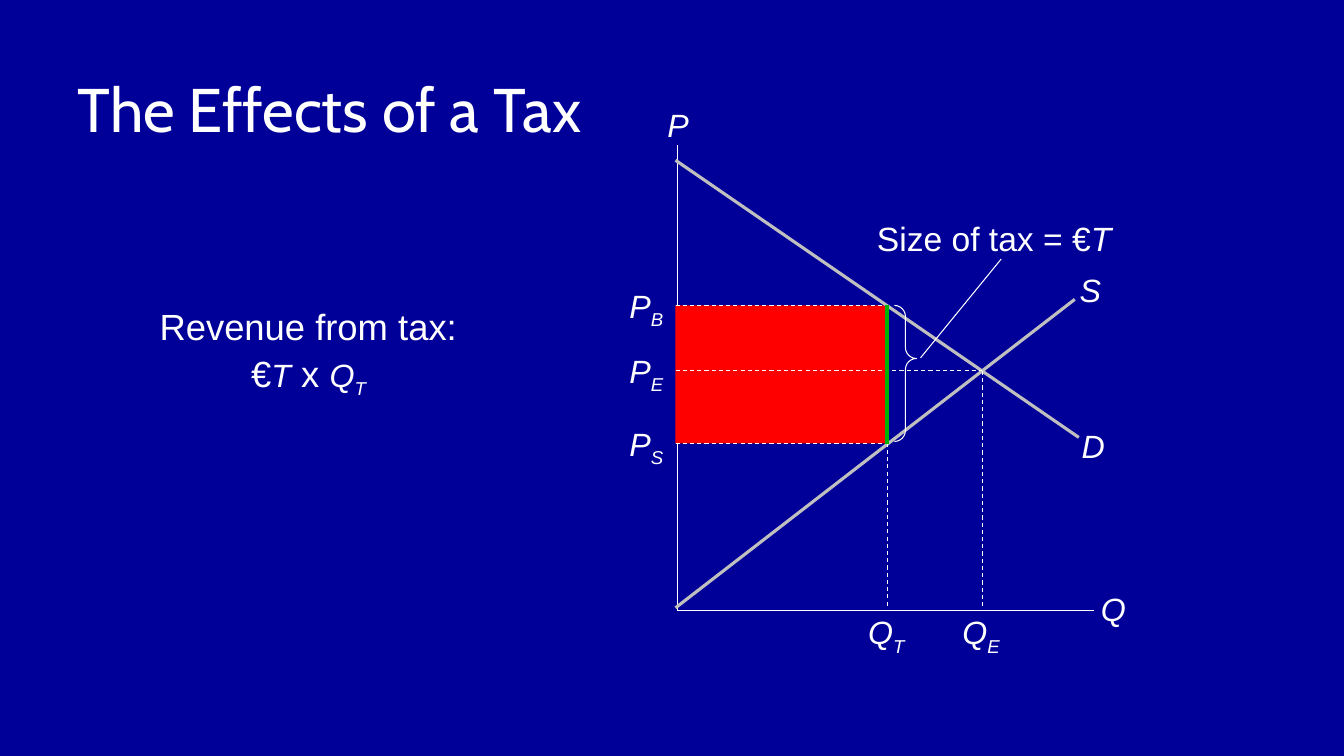
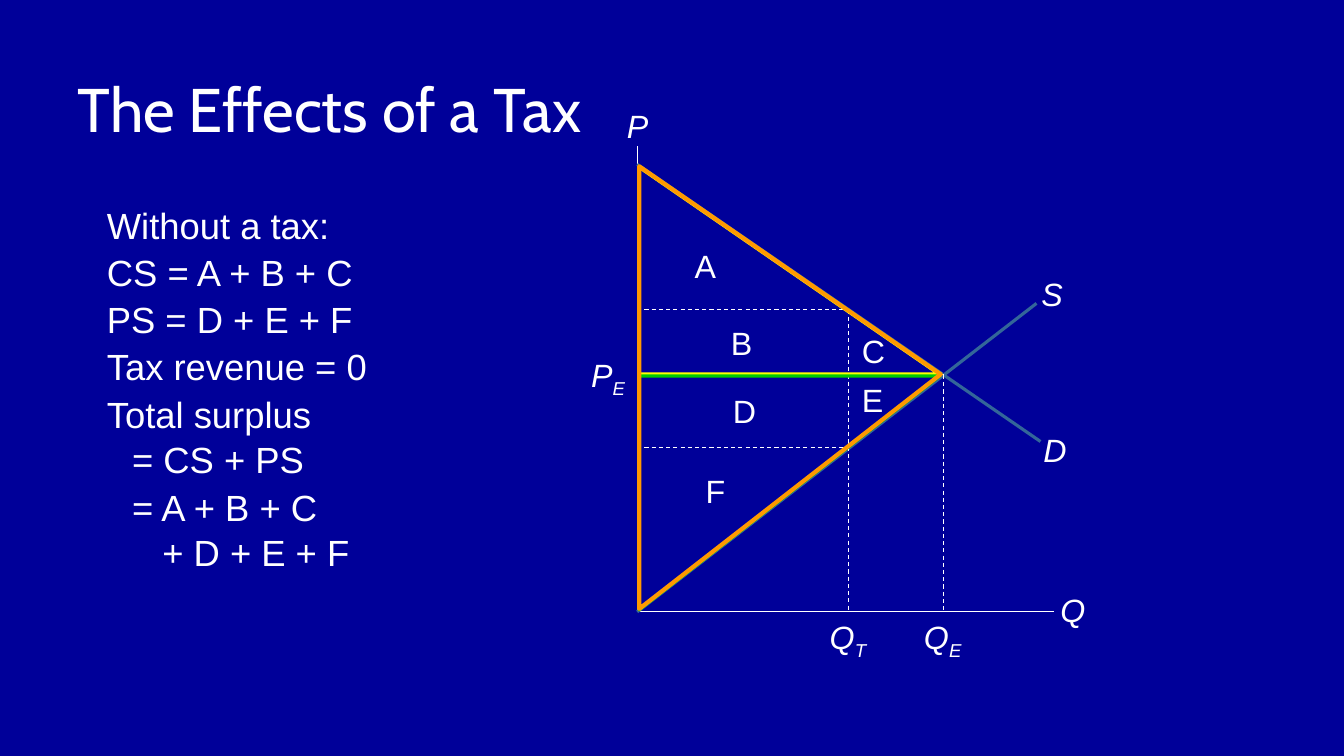
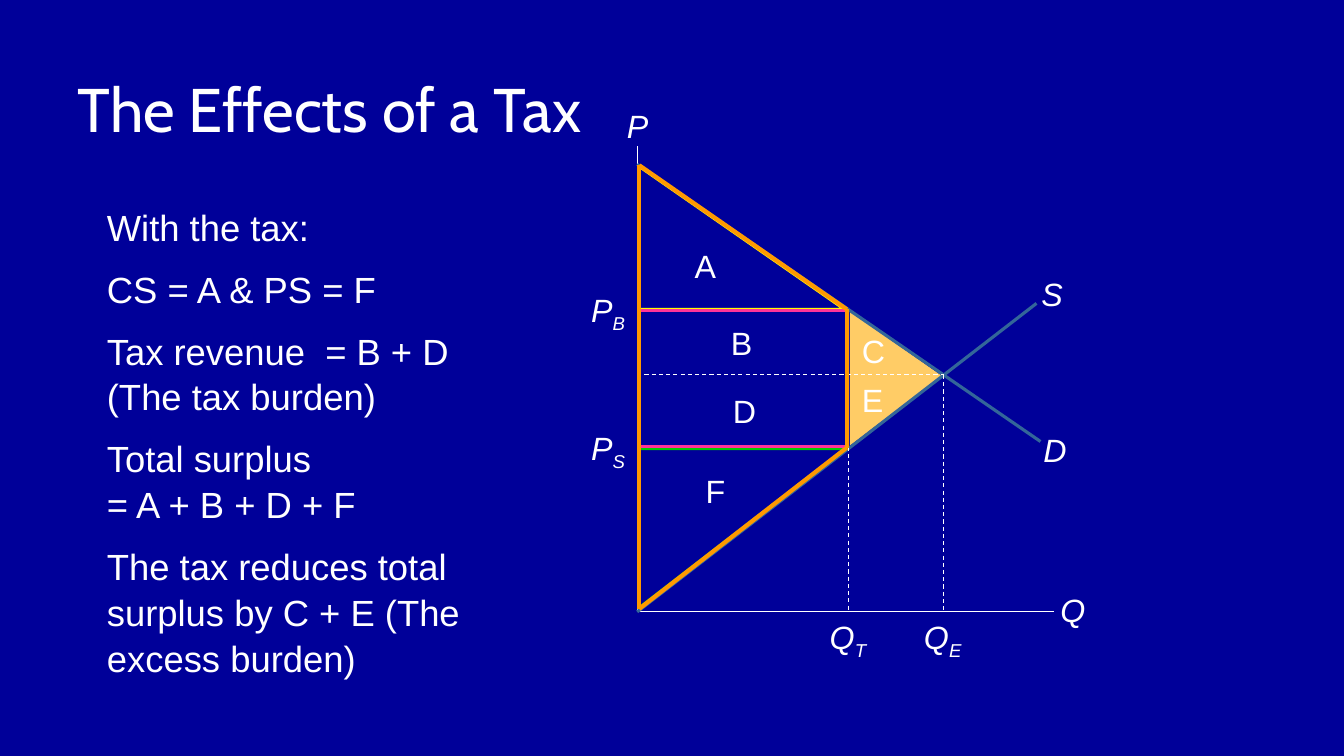
from itertools import pairwise

from lxml import etree
from pptx import Presentation
from pptx.dml.color import RGBColor
from pptx.enum.dml import MSO_LINE
from pptx.enum.shapes import MSO_CONNECTOR, MSO_SHAPE
from pptx.enum.text import MSO_ANCHOR, MSO_AUTO_SIZE, PP_ALIGN
from pptx.oxml.ns import qn
from pptx.util import Inches, Pt

NAVY = RGBColor(0x00, 0x00, 0x99)
WHITE = RGBColor(0xFF, 0xFF, 0xFF)
GREY = RGBColor(0xBF, 0xBF, 0xBF)
STEEL = RGBColor(0x33, 0x66, 0x99)
RED = RGBColor(0xFF, 0x00, 0x00)
DARK_GREEN = RGBColor(0x00, 0xB3, 0x00)
GREEN = RGBColor(0x00, 0xCC, 0x00)
YELLOW = RGBColor(0xFF, 0xFF, 0x00)
ORANGE = RGBColor(0xFF, 0x99, 0x00)
SAND = RGBColor(0xFF, 0xCC, 0x66)
PINK = RGBColor(0xFF, 0x33, 0x99)

STRAIGHT = MSO_CONNECTOR.STRAIGHT
DASH = MSO_LINE.DASH
RECTANGLE = MSO_SHAPE.RECTANGLE
RIGHT_TRIANGLE = MSO_SHAPE.RIGHT_TRIANGLE
TRIANGLE = MSO_SHAPE.ISOSCELES_TRIANGLE
RIGHT_BRACE = MSO_SHAPE.RIGHT_BRACE
LEFT, CENTER = PP_ALIGN.LEFT, PP_ALIGN.CENTER
MIDDLE = MSO_ANCHOR.MIDDLE
FIXED = MSO_AUTO_SIZE.NONE

TITLE = "The Effects of a Tax"
TITLE_FONT, TEXT_FONT = "Cabin", "Arial"
TITLE_SIZE, BODY_SIZE, LABEL_SIZE, CALLOUT_SIZE = 44, 26, 23, 24
LABEL_HEIGHT = 0.48

PRICES = {"B": -3.0, "E": -2.35, "S": -1.63}
QUANTITIES = {"T": 2.1, "E": 3.04}
DEMAND_TOP = -4.44
AREAS = {
    "A": (0.47, -3.68),
    "B": (0.83, -2.91),
    "C": (2.13, -2.83),
    "D": (0.85, -2.24),
    "E": (2.13, -2.35),
    "F": (0.57, -1.44),
}


def place(shape, box):
    shape.left, shape.top, shape.width, shape.height = map(Inches, box)


def add_run(paragraph, text, size, italic=False, subscript=False, font=TEXT_FONT):
    run = paragraph.add_run()
    run.text = text
    run.font.name = font
    run.font.size = Pt(size)
    run.font.italic = italic
    run.font.color.rgb = WHITE
    if subscript:
        run.font._element.set("baseline", "-25000")


def add_titled_slide(prs):
    slide = prs.slides.add_slide(prs.slide_layouts[1])
    title = slide.shapes.title
    place(title, (0.67, 0.32, 12, 1.51))
    frame = title.text_frame
    frame.auto_size = FIXED
    frame.vertical_anchor = MIDDLE
    heading = frame.paragraphs[0]
    heading.alignment = LEFT
    add_run(heading, TITLE, TITLE_SIZE, font=TITLE_FONT)
    return slide


def fill_body(slide, box, entries, align=LEFT):
    body = slide.placeholders[1]
    place(body, box)
    frame = body.text_frame
    frame.auto_size = FIXED
    for number, (runs, space, indent) in enumerate(entries):
        line = frame.add_paragraph() if number else frame.paragraphs[0]
        properties = line._p.get_or_add_pPr()
        properties.set("marL", str(Inches(indent)))
        properties.set("indent", "0")
        etree.SubElement(properties, qn("a:buNone"))
        line.alignment = align
        line.line_spacing = 1.05
        line.space_before = Pt(space)
        for run in runs:
            add_run(line, *run)


def plain(text, space=0, indent=0):
    return [(text, BODY_SIZE)], space, indent


def add_label(slide, box, runs, align=CENTER):
    label = slide.shapes.add_textbox(*map(Inches, box))
    label.text_frame.word_wrap = True
    line = label.text_frame.paragraphs[0]
    line.alignment = align
    for run in runs:
        add_run(line, *run)
    return label


def add_symbol(slide, x, y, width, letter, subscript=""):
    runs = [(letter, LABEL_SIZE, True)]
    if subscript:
        runs.append((subscript, LABEL_SIZE, True, True))
    add_label(slide, (x, y, width, LABEL_HEIGHT), runs)


def add_line(slide, start, end, color=WHITE, width=0.75, dash=None):
    line = slide.shapes.add_connector(STRAIGHT, *map(Inches, (*start, *end)))
    line.line.color.rgb = color
    line.line.width = Pt(width)
    if dash:
        line.line.dash_style = dash
    etree.SubElement(line._element.spPr, qn("a:effectLst"))
    return line


def add_area(slide, kind, box, fill=None, outline=None, width=2.25):
    area = slide.shapes.add_shape(kind, *map(Inches, box))
    area.shadow.inherit = False
    if fill:
        area.fill.solid()
        area.fill.fore_color.rgb = fill
    else:
        area.fill.background()
    if outline:
        area.line.color.rgb = outline
        area.line.width = Pt(width)
    else:
        area.line.fill.background()
    return area


def add_right_pointing_triangle(slide, box, apex, **style):
    x, y, width, height = box
    shift = (width - height) / 2
    triangle = add_area(slide, TRIANGLE, (x + shift, y - shift, height, width), **style)
    triangle.rotation = 90
    triangle.adjustments[0] = apex


def add_surplus(slide, box, color, flipped=False):
    surplus = add_area(slide, RIGHT_TRIANGLE, box, outline=color)
    if flipped:
        surplus._element.spPr.get_or_add_xfrm().set("flipV", "1")


def draw_axes(slide, origin):
    x, y = origin
    add_line(slide, (x, y - 4.62), origin)
    add_line(slide, origin, (x + 4.13, y))
    add_symbol(slide, x - 0.2, y - 5.06, 0.4, "P")
    add_symbol(slide, x + 4.1, y - 0.26, 0.4, "Q")


def draw_market(slide, origin, curve_color, shown_prices):
    x, y = origin
    add_line(slide, (x, y + DEMAND_TOP), (x + 4, y - 1.69), curve_color, 2.25)
    add_line(slide, origin, (x + 3.96, y - 3.06), curve_color, 2.25)
    add_symbol(slide, x + 3.93, y - 1.85, 0.4, "D")
    add_symbol(slide, x + 3.91, y - 3.4, 0.4, "S")
    for name, price in PRICES.items():
        reach = QUANTITIES["E" if name == "E" else "T"]
        add_line(slide, (x, y + price), (x + reach, y + price), dash=DASH)
        if name in shown_prices:
            add_symbol(slide, x - 0.58, y + price - 0.24, 0.58, "P", name)
    for name, quantity in QUANTITIES.items():
        top = PRICES["E" if name == "E" else "B"]
        add_line(slide, (x + quantity, y + top), (x + quantity, y), dash=DASH)
        add_symbol(slide, x + quantity - 0.33, y, 0.64, "Q", name)


def draw_area_letters(slide, origin):
    x, y = origin
    for letter, (dx, dy) in AREAS.items():
        add_label(slide, (x + dx, y + dy, 0.41, LABEL_HEIGHT), [(letter, LABEL_SIZE)])


def draw_tax_wedge(slide, origin):
    x, y = origin
    wedge_x = x + QUANTITIES["T"]
    buyer_y, seller_y = y + PRICES["B"], y + PRICES["S"]
    brace = add_area(slide, RIGHT_BRACE, (wedge_x + 0.07, buyer_y, 0.22, 1.35),
                     outline=WHITE, width=0.75)
    brace.adjustments[0] = 0.5
    brace.adjustments[1] = 0.39
    callout = add_label(slide, (x + 1.9, y - 3.92, 2.66, 0.46),
                        [("Size of tax = €", CALLOUT_SIZE), ("T", CALLOUT_SIZE, True)], LEFT)
    pointer = add_line(slide, (wedge_x + 0.33, y - 2.48), (x + 3.23, y - 3.46))
    pointer.end_connect(callout, 2)
    add_line(slide, (wedge_x, buyer_y), (wedge_x, seller_y), DARK_GREEN, 3)


def build_revenue_slide(prs):
    slide = add_titled_slide(prs)
    revenue = [
        ("Revenue from tax: €", BODY_SIZE),
        ("T", LABEL_SIZE, True),
        (" x ", BODY_SIZE),
        ("Q", LABEL_SIZE, True),
        ("T", LABEL_SIZE, True, True),
    ]
    fill_body(slide, (1.41, 2.95, 3.3, 1.19), [(revenue, 0, 0)], CENTER)
    origin = x, y = 6.7, 6.03
    draw_axes(slide, (6.72, 6.06))
    add_area(slide, RECTANGLE,
             (x, y + PRICES["B"], QUANTITIES["T"], PRICES["S"] - PRICES["B"]), fill=RED)
    draw_market(slide, origin, GREY, "BES")
    draw_tax_wedge(slide, origin)


def build_without_tax_slide(prs, origin):
    x, y = origin
    slide = add_titled_slide(prs)
    fill_body(slide, (0.96, 1.94, 3.8, 3.86), [
        plain("Without a tax:"),
        plain("CS = A + B + C", 1),
        plain("PS = D + E + F", 1),
        plain("Tax revenue = 0", 1),
        plain("Total surplus", 1),
        plain("= CS + PS", 0, 0.25),
        plain("= A + B + C", 1, 0.25),
        plain("+ D + E + F", 0, 0.55),
    ])
    draw_axes(slide, origin)
    draw_market(slide, origin, STEEL, "E")
    draw_area_letters(slide, origin)
    add_surplus(slide, (x + 0.02, y - 4.41, 2.97, 2.05), YELLOW)
    add_surplus(slide, (x + 0.02, y - 2.34, 2.98, 2.32), GREEN, flipped=True)
    add_right_pointing_triangle(slide, (x + 0.02, y - 4.42, 2.99, 4.39), 0.47,
                                outline=ORANGE, width=3)


def build_with_tax_slide(prs, origin):
    x, y = origin
    slide = add_titled_slide(prs)
    fill_body(slide, (0.96, 1.96, 4.1, 5.05), [
        plain("With the tax:"),
        plain("CS = A & PS = F", 11.5),
        plain("Tax revenue  = B + D (The tax burden)", 11.5),
        plain("Total surplus", 11.5),
        plain("= A + B + D + F"),
        plain("The tax reduces total surplus by C + E (The excess burden)", 11.5),
    ])
    add_right_pointing_triangle(slide, (x + 2.11, y - 2.98, 0.91, 1.33), 0.48, fill=SAND)
    draw_axes(slide, origin)
    draw_market(slide, origin, STEEL, "BS")
    draw_area_letters(slide, origin)
    add_surplus(slide, (x + 0.02, y - 4.42, 2.04, 1.42), YELLOW)
    add_surplus(slide, (x + 0.02, y - 1.62, 2.05, 1.58), GREEN, flipped=True)
    add_area(slide, RECTANGLE, (x + 0.02, y - 2.99, 2.07, 1.35), outline=PINK)
    top_left, bottom_left = (x + 0.02, y - 4.43), (x + 0.02, y - 0.03)
    buyer_corner, seller_corner = [(x + 2.08, y + PRICES[name]) for name in "BS"]
    for start, end in pairwise((top_left, buyer_corner, seller_corner, bottom_left, top_left)):
        add_line(slide, start, end, ORANGE, 3)


def main():
    prs = Presentation()
    prs.slide_width, prs.slide_height = Inches(13.33), Inches(7.5)
    backdrop = prs.slide_master.background.fill
    backdrop.solid()
    backdrop.fore_color.rgb = NAVY
    build_revenue_slide(prs)
    surplus_origin = 6.32, 6.07
    build_without_tax_slide(prs, surplus_origin)
    build_with_tax_slide(prs, surplus_origin)
    prs.save("out.pptx")


if __name__ == "__main__":
    main()
